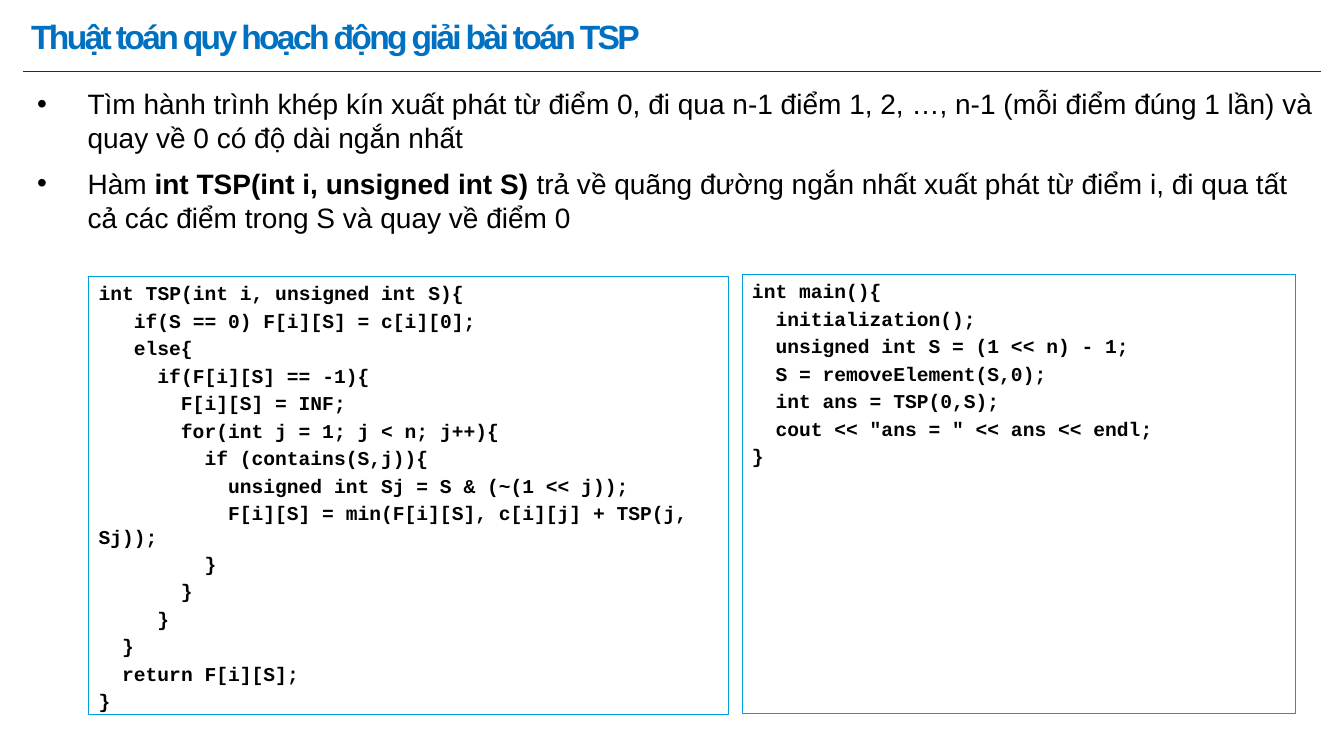
from pptx import Presentation
from pptx.dml.color import RGBColor
from pptx.enum.shapes import MSO_CONNECTOR, MSO_SHAPE
from pptx.enum.text import MSO_ANCHOR, PP_ALIGN
from pptx.oxml.ns import qn
from pptx.util import Inches, Pt
from lxml import etree

LINE, RECT = MSO_CONNECTOR.STRAIGHT, MSO_SHAPE.RECTANGLE
TOP, LEFT = MSO_ANCHOR.TOP, PP_ALIGN.LEFT
BLUE = RGBColor(0x00, 0x70, 0xC0)
NAVY = RGBColor(0x00, 0x37, 0x64)
CYAN = RGBColor(0x00, 0x9E, 0xDB)
BLACK = RGBColor(0x00, 0x00, 0x00)

TITLE = "Thuật toán quy hoạch động giải bài toán TSP"

# Each point is a list of (text, bold) runs
POINTS = [
    [("Tìm hành trình khép kín xuất phát từ điểm 0, đi qua n-1 điểm 1, 2, …, "
      "n-1 (mỗi điểm đúng 1 lần) và quay về 0 có độ dài ngắn nhất", False)],
    [("Hàm ", False),
     ("int TSP(int i, unsigned int S) ", True),
     ("trả về quãng đường ngắn nhất xuất phát từ điểm i, đi qua tất "
      "cả các điểm trong S và quay về điểm 0", False)],
]

# Each code line is (indent in characters, text)
SOLVE = [
    (0, "int TSP(int i, unsigned int S){"),
    (3, "if(S == 0) F[i][S] = c[i][0];"),
    (3, "else{"),
    (5, "if(F[i][S] == -1){"),
    (7, "F[i][S] = INF;"),
    (7, "for(int j = 1; j < n; j++){"),
    (9, "if (contains(S,j)){"),
    (11, "unsigned int Sj = S & (~(1 << j));"),
    (11, "F[i][S] = min(F[i][S], c[i][j] + TSP(j, Sj));"),
    (9, "}"),
    (7, "}"),
    (5, "}"),
    (2, "}"),
    (2, "return F[i][S];"),
    (0, "}"),
]
MAIN = [
    (0, "int main(){"),
    (2, "initialization();"),
    (2, "unsigned int S = (1 << n) - 1;"),
    (2, "S = removeElement(S,0);"),
    (2, "int ans = TSP(0,S);"),
    (2, 'cout << "ans = " << ans << endl;'),
    (0, "}"),
]


class Page:
    sans, mono = "Arial", "Courier New"
    head, body, code = 24, 20, 14

    def __init__(self, slide):
        self.shapes = slide.shapes

    def style(self, run, size, face, color=BLACK, bold=False):
        font = run.font
        font.size, font.name, font.bold = Pt(size), face, bold
        font.color.rgb = color

    def frame(self, shape):
        text = shape.text_frame
        text.word_wrap = True
        text.vertical_anchor = TOP
        return text

    def paras(self, text, count):
        for _ in range(count - 1):
            text.add_paragraph()
        return text.paragraphs

    def indent(self, para, first, margin=0):
        props = para._p.get_or_add_pPr()
        props.set("marL", str(Inches(margin)))
        props.set("indent", str(Inches(first)))
        return props

    def title(self, words, *box):
        text = self.frame(self.shapes.add_textbox(*map(Inches, box)))
        text.margin_top = Inches(0.08)
        text.text = words
        run = text.paragraphs[0].runs[0]
        self.style(run, self.head, self.sans, BLUE, True)
        run.font._element.set("spc", "-190")

    def rule(self, left, right, y):
        line = self.shapes.add_connector(
            LINE, Inches(left), Inches(y), Inches(right), Inches(y))
        line.line.color.rgb = NAVY
        line.line.width = Pt(0.5)
        etree.SubElement(line._element.spPr, qn("a:effectLst"))

    def bullets(self, points, *box):
        text = self.frame(self.shapes.add_textbox(*map(Inches, box)))
        for para, runs in zip(self.paras(text, len(points)), points):
            para.space_before, para.space_after = Pt(self.body * 0.2), Pt(5)
            props = self.indent(para, -0.5, 0.56)
            etree.SubElement(props, qn("a:buFont"), typeface=self.sans)
            etree.SubElement(props, qn("a:buChar"), char="•")
            for words, bold in runs:
                run = para.add_run()
                run.text = words
                self.style(run, self.body, self.sans, bold=bold)

    def listing(self, lines, *box):
        shape = self.shapes.add_shape(RECT, *map(Inches, box))
        shape.shadow.inherit = False
        shape.fill.background()
        shape.line.color.rgb = CYAN
        shape.line.width = Pt(0.75)
        text = self.frame(shape)
        step = self.code * 0.6 / 72  # width of one monospaced character
        for para, (depth, words) in zip(self.paras(text, len(lines)), lines):
            para.text = words
            para.alignment = LEFT
            para.space_before = Pt(self.code * 0.2)
            self.indent(para, depth * step)
            self.style(para.runs[0], self.code, self.mono, bold=True)


deck = Presentation()
deck.slide_width, deck.slide_height = Inches(13.33), Inches(7.5)
page = Page(deck.slides.add_slide(deck.slide_layouts[6]))

# Heading
page.rule(0.23, 13.1, 0.71)
page.title(TITLE, 0.21, 0.08, 12.89, 0.61)

# Problem statement
page.bullets(POINTS, 0.21, 0.81, 12.99, 5.98)

# Code panels
page.listing(SOLVE, 0.88, 2.74, 6.35, 4.35)
page.listing(MAIN, 7.36, 2.72, 5.49, 4.36)

deck.save("out.pptx")
